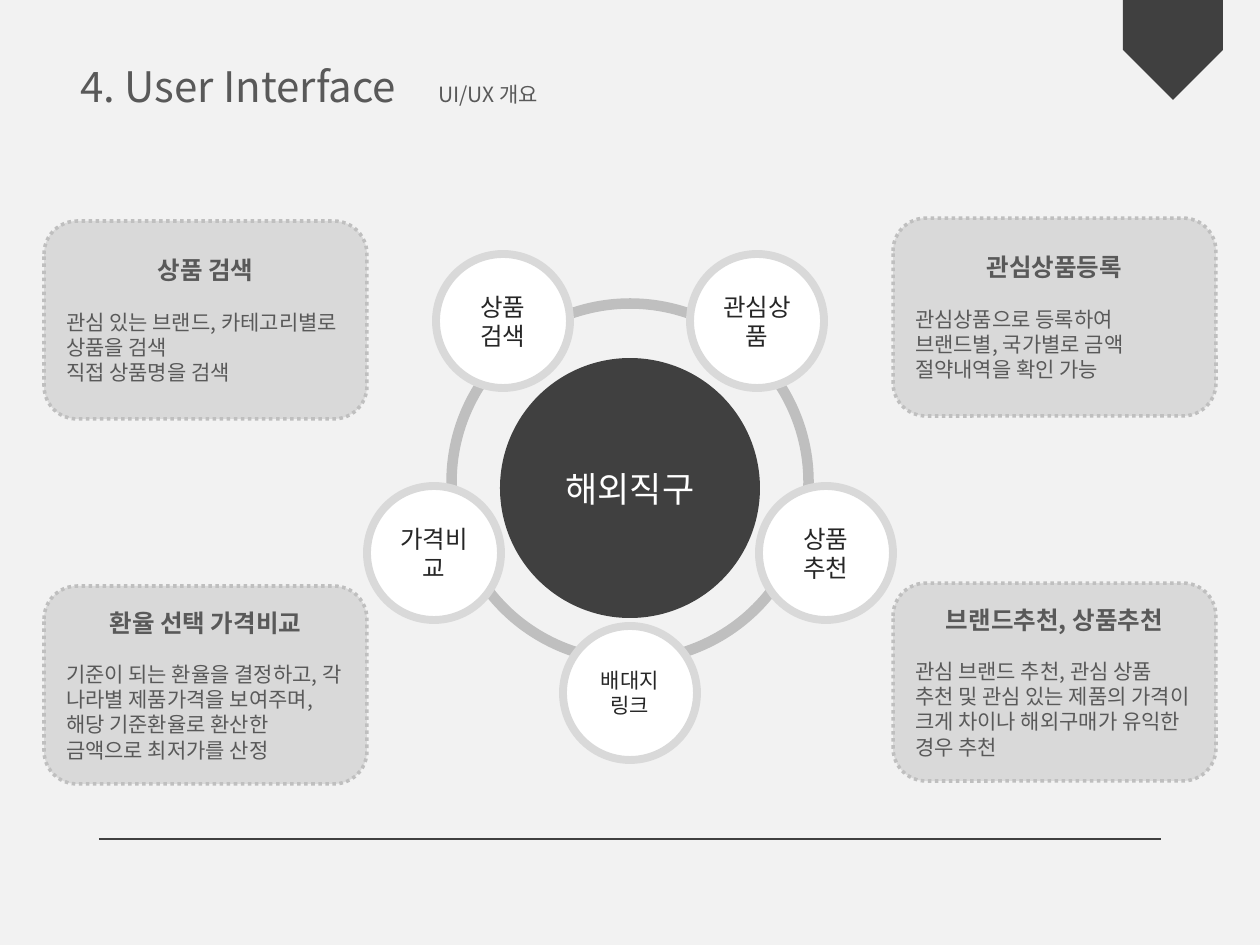
from lxml import etree
from pptx import Presentation
from pptx.dml.color import RGBColor
from pptx.enum.dml import MSO_LINE_DASH_STYLE as Dash
from pptx.enum.shapes import MSO_CONNECTOR, MSO_SHAPE as Shape
from pptx.enum.text import MSO_ANCHOR as Anchor, PP_ALIGN as Align
from pptx.oxml.ns import qn
from pptx.util import Emu, Pt

# Content
HEADING = [("4. User Interface\u3000".replace("\u3000", "　"), 24), ("UI/UX 개요", 12)]
CORE = "해외직구"
NODES = [  # lines, size, offset from the axis, centre height
    (["상품", "검색"], 14, -127, 321),
    (["관심상품"], 14, 127, 321),
    (["상품", "추천"], 14, 196, 553),
    (["가격비교"], 14, -196, 553),
    (["배대지", "링크"], 12, 0, 693),
]
CARDS = [  # left, top, title, body
    (44, 221, "상품 검색", ["관심 있는 브랜드, 카테고리별로 상품을 검색", "직접 상품명을 검색"]),
    (44, 586, "환율 선택 가격비교",
     ["기준이 되는 환율을 결정하고, 각 나라별 제품가격을 보여주며, "
      "해당 기준환율로 환산한 금액으로 최저가를 산정"]),
    (893, 218, "관심상품등록",
     ["관심상품으로 등록하여 브랜드별, 국가별로 금액 절약내역을 확인 가능"]),
    (893, 583, "브랜드추천, 상품추천",
     ["관심 브랜드 추천, 관심 상품 추천 및 관심 있는 제품의 "
      "가격이 크게 차이나 해외구매가 유익한 경우 추천"]),
]
COLORS = {"back": "F2F2F2", "dark": "404040", "text": "595959", "node_text": "262626",
          "white": "FFFFFF", "card": "D9D9D9", "ring": "BFBFBF"}
FONT = "Noto Sans CJK KR"
AXIS = 630
NODE_SIZE, CORE_SIZE, RING_SIZE = 134, 260, 357
CARD_W, CARD_H = 323, 198


def px(n):
    return Emu(round(n * 914400 / 126))


def rgb(name):
    return RGBColor.from_string(COLORS[name])


prs = Presentation()
prs.slide_width, prs.slide_height = px(1260), px(945)
slide = prs.slides.add_slide(prs.slide_layouts[6])
slide.background.fill.solid()
slide.background.fill.fore_color.rgb = rgb("back")


def add_block(kind, left, top, width, height, fill=None, line=None, weight=0):
    block = slide.shapes.add_shape(kind, px(left), px(top), px(width), px(height))
    block.shadow.inherit = False
    if fill:
        block.fill.solid()
        block.fill.fore_color.rgb = rgb(fill)
    else:
        block.fill.background()
    if line:
        block.line.color.rgb = rgb(line)
        block.line.width = Pt(weight)
    else:
        block.line.fill.background()
    return block


def add_circle(center_x, center_y, size, **style):
    return add_block(Shape.OVAL, center_x - size / 2, center_y - size / 2, size, size, **style)


def write(frame, runs, size=12, color="text", bold=False, align=Align.LEFT, before=0):
    """Write one paragraph; runs is a string or a list of (text, size)."""
    par = frame.paragraphs[0]
    if par.runs:
        par = frame.add_paragraph()
    par.alignment = align
    if before:
        par.space_before = Pt(before)
    for text, run_size in [(runs, size)] if isinstance(runs, str) else runs:
        run = par.add_run()
        run.text = text
        font = run.font
        font.name, font.size, font.bold = FONT, Pt(run_size), bold
        font.color.rgb = rgb(color)
        etree.SubElement(font._element, qn("a:ea")).set("typeface", FONT)


# Footer rule and corner tag
rule = slide.shapes.add_connector(MSO_CONNECTOR.STRAIGHT, px(99), px(839), px(1161), px(839))
rule.line.color.rgb = rgb("dark")
rule.line.width = Pt(0.75)
etree.SubElement(rule._element.spPr, qn("a:effectLst"))
add_block(Shape.PENTAGON, 1123, 0, 100, 100, fill="dark").rotation = 90

# Ring, nodes and core
add_circle(AXIS, 482, RING_SIZE, line="ring", weight=6)
for lines, size, offset, center_y in NODES:
    node = add_circle(AXIS + offset, center_y, NODE_SIZE, fill="white", line="card", weight=4.5)
    node.text_frame.vertical_anchor = Anchor.MIDDLE
    for text in lines:
        write(node.text_frame, text, size=size, color="node_text", align=Align.CENTER)
core = add_circle(AXIS, 488, CORE_SIZE, fill="dark")
core.text_frame.vertical_anchor = Anchor.MIDDLE
write(core.text_frame, CORE, size=20, color="white", align=Align.CENTER)

# Cards
for left, top, title, body in CARDS:
    card = add_block(Shape.ROUNDED_RECTANGLE, left, top, CARD_W, CARD_H,
                     fill="card", line="ring", weight=2)
    card.line.dash_style = Dash.ROUND_DOT
    frame = card.text_frame
    frame.vertical_anchor = Anchor.MIDDLE
    write(frame, title, size=14, bold=True, align=Align.CENTER)
    for i, text in enumerate(body):
        write(frame, text, before=0 if i else 14)

# Heading
heading = slide.shapes.add_textbox(px(68), px(54), px(490), px(63)).text_frame
heading.word_wrap = True
write(heading, HEADING)

prs.save("out.pptx")
